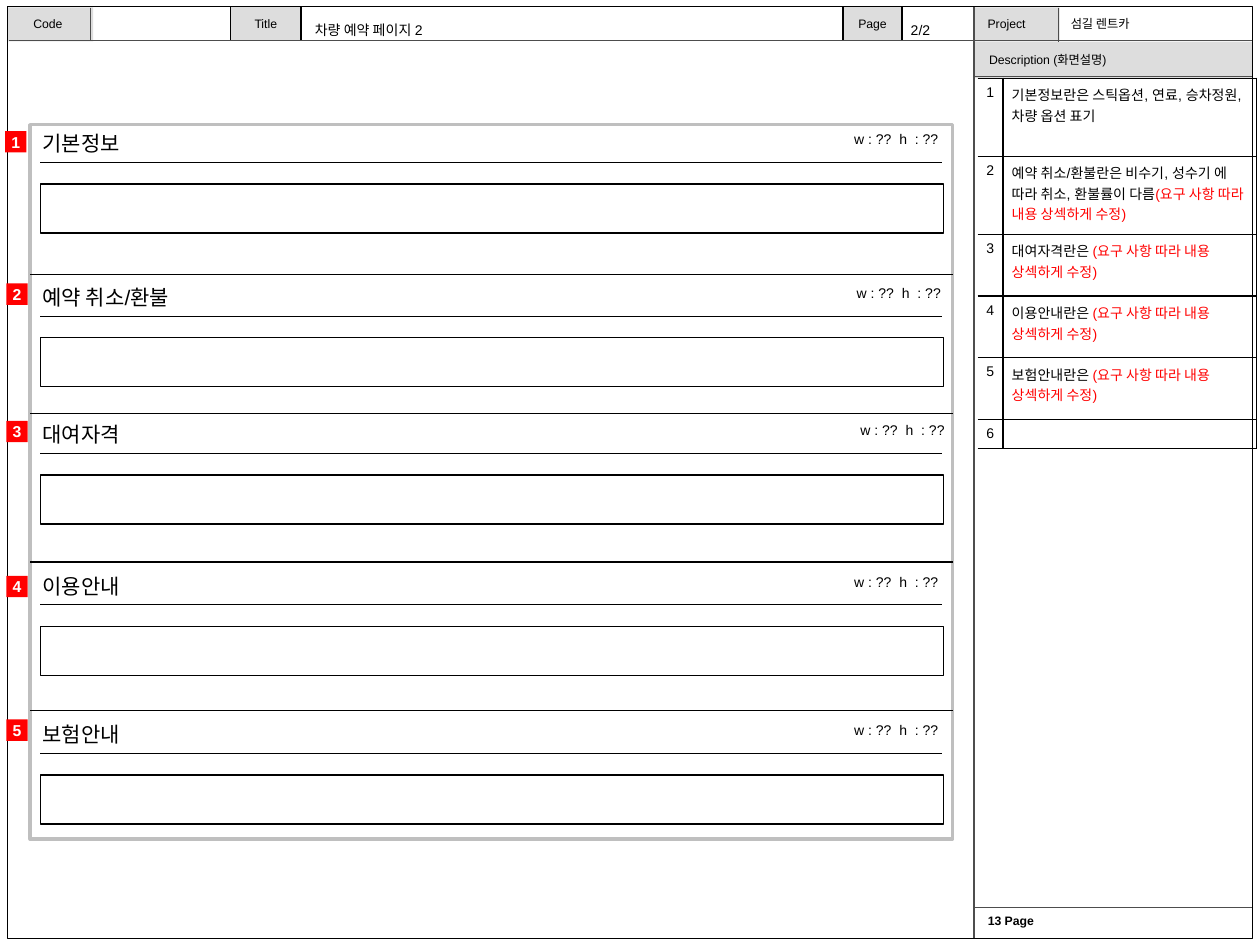
from dataclasses import dataclass

from lxml import etree
from pptx import Presentation
from pptx.dml.color import RGBColor
from pptx.enum import shapes, text
from pptx.oxml import ns
from pptx.util import Inches, Pt


@dataclass(frozen=True)
class Theme:
    font: str = "Arial"
    ink: str = "000000"
    rule: str = "4D4D4D"
    label: str = "DDDDDD"
    frame: str = "BFBFBF"
    red: str = "FF0000"
    white: str = "FFFFFF"
    tiny: float = 7
    body: float = 8
    badge: float = 9
    heading: float = 12
    thin: float = 0.75
    thick: float = 2


theme = Theme()
LEFT, CENTER = text.PP_ALIGN.LEFT, text.PP_ALIGN.CENTER
TOP, MIDDLE = text.MSO_ANCHOR.TOP, text.MSO_ANCHOR.MIDDLE

prs = Presentation()
prs.slide_width, prs.slide_height = Inches(10), Inches(7.5)
slide = prs.slides.add_slide(prs.slide_layouts[6])


def add_box(left, top, width, height, words="", size=theme.tiny, fill=None, line=None,
            weight=theme.thin, color=theme.ink, bold=False, align=LEFT, anchor=TOP,
            inset=(0.1, 0.05), wrap=True, grow=False):
    """Draw a rectangle, or a text box when it has neither fill nor line."""
    place = [Inches(v) for v in (left, top, width, height)]
    if fill or line:
        box = slide.shapes.add_shape(shapes.MSO_SHAPE.RECTANGLE, *place)
        box.shadow.inherit = False
    else:
        box = slide.shapes.add_textbox(*place)
    if fill:
        box.fill.solid()
        box.fill.fore_color.rgb = RGBColor.from_string(fill)
    else:
        box.fill.background()
    if line:
        box.line.color.rgb = RGBColor.from_string(line)
        box.line.width = Pt(weight)
    else:
        box.line.fill.background()
    if words:
        side, end = (Inches(v) for v in inset)
        frame_format = {
            "margin_left": side, "margin_right": side, "margin_top": end, "margin_bottom": end,
            "word_wrap": wrap, "vertical_anchor": anchor,
            "auto_size": text.MSO_AUTO_SIZE.SHAPE_TO_FIT_TEXT if grow else text.MSO_AUTO_SIZE.NONE,
        }
        for name, value in frame_format.items():
            setattr(box.text_frame, name, value)
        paragraph = box.text_frame.paragraphs[0]
        paragraph.alignment = align
        run = paragraph.add_run()
        run.text = words
        for name, value in {"name": theme.font, "size": Pt(size), "bold": bold}.items():
            setattr(run.font, name, value)
        run.font.color.rgb = RGBColor.from_string(color)


def add_rule(x1, y1, x2, y2, color=theme.ink):
    rule = slide.shapes.add_connector(
        shapes.MSO_CONNECTOR.STRAIGHT, *[Inches(v) for v in (x1, y1, x2, y2)])
    rule.line.color.rgb = RGBColor.from_string(color)
    rule.line.width = Pt(theme.thin)
    etree.SubElement(rule._element.spPr, ns.qn("a:effectLst"))


# Header labels
add_box(7.73, 0.33, 2.21, 0.29, "Description (화면설명)", fill=theme.label,
        anchor=MIDDLE, inset=(0.12, 0.05))
for left, width, words in [(6.69, 0.47, "Page"), (1.83, 0.56, "Title")]:
    add_box(left, 0.05, width, 0.27, words, fill=theme.label, line=theme.ink,
            align=CENTER, anchor=MIDDLE)
for left in (0.06, 7.73):
    add_box(left, 0.06, 0.68, 0.27, fill=theme.label)
add_box(0.06, 0.05, 0.64, 0.27, "Code", align=CENTER, anchor=MIDDLE)
add_box(7.74, 0.08, 0.66, 0.24, "Project")
add_box(8.4, 0.08, 1.5, 0.24, "섬길 렌트카")
add_box(7.76, 7.21, 2.14, 0.24, "13 Page", bold=True, inset=(0.08, 0.04))

# Page grid and border
for ends in [(7.73, 0.05, 7.73, 7.45), (0.07, 0.32, 9.94, 0.32), (8.4, 0.06, 8.4, 0.33),
             (7.74, 7.2, 9.94, 7.2), (7.74, 0.61, 9.94, 0.61), (0.72, 0.06, 0.72, 0.32)]:
    add_rule(*ends, color=theme.rule)
add_box(0.06, 0.05, 9.88, 7.4, line=theme.ink)

# Wireframe outline and section dividers
add_box(0.24, 0.99, 7.32, 5.67, line=theme.frame, weight=theme.thick)
for divider_y in (2.18, 3.28, 4.46, 5.64):
    add_rule(0.24, divider_y, 7.56, divider_y)

# Sections: heading, size label, underline, content box, numbered badge
sections = [
    ("기본정보", 0.99, 6.68, 0.04, 1.04),
    ("예약 취소/환불", 2.21, 6.7, 0.05, 2.25),
    ("대여자격", 3.3, 6.73, 0.05, 3.34),
    ("이용안내", 4.5, 6.68, 0.05, 4.57),
    ("보험안내", 5.68, 6.68, 0.05, 5.71),
]
for number, (heading, top, size_left, badge_left, badge_top) in enumerate(sections, 1):
    add_box(0.24, top, 1.57, 0.3, heading, theme.heading, grow=True)
    add_box(size_left, top, 0.88, 0.24, "w : ??  h  : ??", theme.body, wrap=False, grow=True)
    add_rule(0.32, top + 0.3, 7.48, top + 0.3)
    add_box(0.32, top + 0.47, 7.17, 0.39, line=theme.ink)
    add_box(badge_left, badge_top, 0.17, 0.17, str(number), theme.badge, fill=theme.red,
            color=theme.white, bold=True, align=CENTER, anchor=MIDDLE, inset=(0, 0), wrap=False)

# Description table
request = "(요구 사항 따라 내용 상섹하게 수정)"
descriptions = [
    (0.62, "기본정보란은 스틱옵션, 연료, 승차정원, 차량 옵션 표기", ""),
    (0.62, "예약 취소/환불란은 비수기, 성수기 에 따라 취소, 환불률이 다름", request),
    (0.49, "대여자격란은 ", request),
    (0.49, "이용안내란은 ", request),
    (0.49, "보험안내란은 ", request),
    (0.23, "", ""),
]
table = slide.shapes.add_table(len(descriptions), 2, Inches(7.76), Inches(0.62), Inches(2.21),
                               Inches(sum(row[0] for row in descriptions))).table
table.first_row = table.horz_banding = False
for column, width in zip(table.columns, (0.2, 2.01)):
    column.width = Inches(width)
for row, (height, note, red_note) in enumerate(descriptions):
    table.rows[row].height = Inches(height)
    columns = [
        ([(str(row + 1), theme.ink)], CENTER, 0.04, ("lnR", "lnT", "lnB")),
        ([(note, theme.ink), (red_note, theme.red)], LEFT, 0.07, ("lnL", "lnR", "lnT", "lnB")),
    ]
    for col, (pieces, align, side, edges) in enumerate(columns):
        cell = table.cell(row, col)
        cell_format = {"margin_left": Inches(side), "margin_right": Inches(side),
                       "margin_top": Inches(0.05), "margin_bottom": Inches(0.05)}
        for name, value in cell_format.items():
            setattr(cell, name, value)
        paragraph = cell.text_frame.paragraphs[0]
        paragraph.alignment = align
        for words, color in pieces:
            if words:
                run = paragraph.add_run()
                run.text = words
                run.font.name, run.font.size = theme.font, Pt(theme.body)
                run.font.color.rgb = RGBColor.from_string(color)
        etree.SubElement(paragraph._p, ns.qn("a:endParaRPr"), sz=str(theme.body * 100))
        # Borders come before the fill in the cell properties
        properties = cell._tc.get_or_add_tcPr()
        for edge in ("lnL", "lnR", "lnT", "lnB"):
            border = etree.SubElement(properties, ns.qn(f"a:{edge}"), w=str(Pt(theme.thin)))
            if edge in edges:
                paint = etree.SubElement(border, ns.qn("a:solidFill"))
                etree.SubElement(paint, ns.qn("a:srgbClr"), val=theme.ink)
            else:
                etree.SubElement(border, ns.qn("a:noFill"))
        cell.fill.background()

# Header values
add_box(7.13, 0.12, 0.36, 0.24, "2/2", theme.body, wrap=False, grow=True)
add_box(2.4, 0.12, 1.15, 0.24, "차량 예약 페이지 2", theme.body, wrap=False, grow=True)

prs.save("out.pptx")
